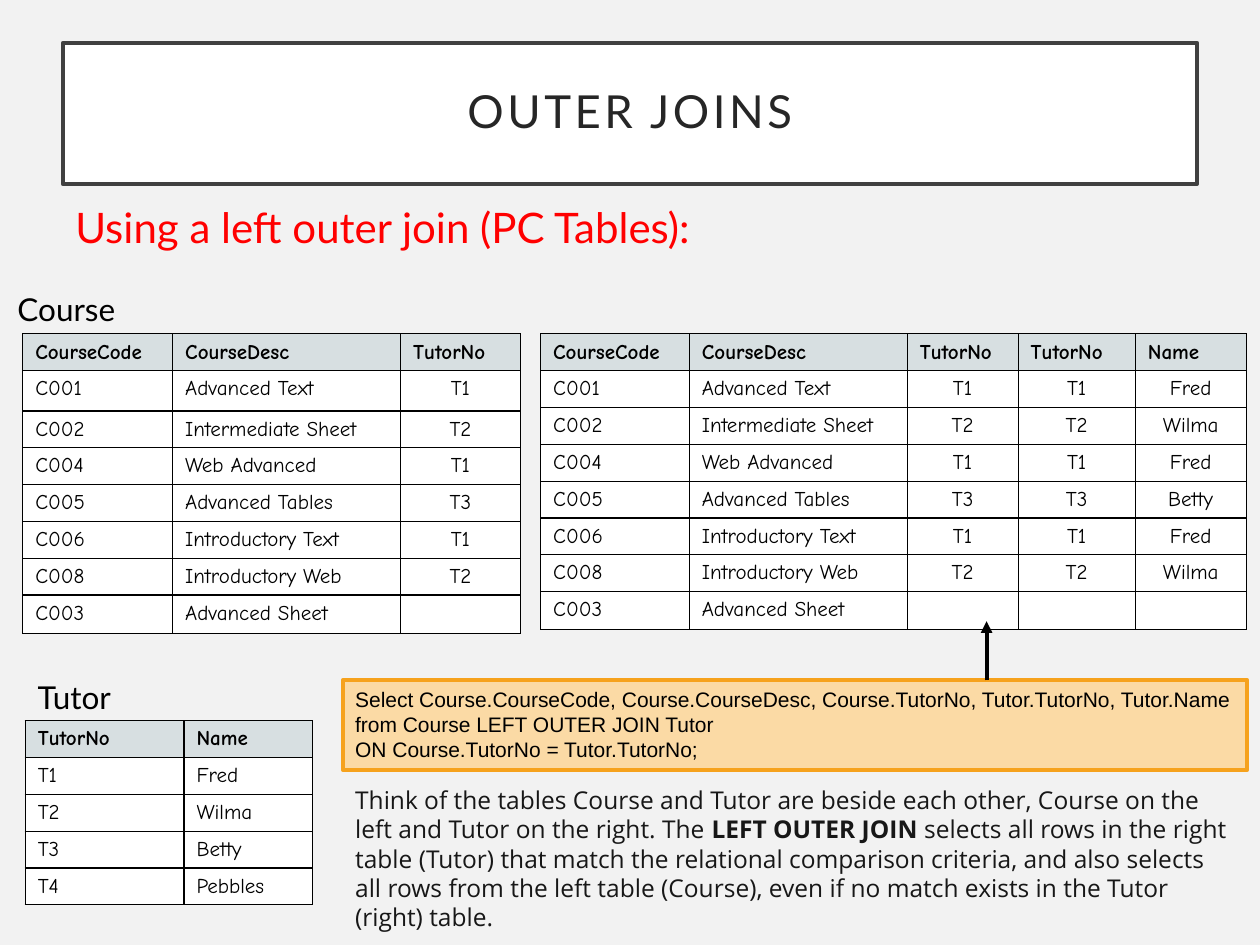
from lxml import etree
from pptx import Presentation
from pptx.dml.color import RGBColor
from pptx.enum.shapes import MSO_CONNECTOR, MSO_SHAPE
from pptx.enum.text import MSO_ANCHOR, PP_ALIGN
from pptx.oxml.ns import qn
from pptx.util import Inches, Pt

LEFT, CENTER = PP_ALIGN.LEFT, PP_ALIGN.CENTER
TOP, MIDDLE = MSO_ANCHOR.TOP, MSO_ANCHOR.MIDDLE
TITLE_ONLY = 5

COLORS = {
    "page": "F2F2F2", "white": "FFFFFF", "frame": "404040", "title": "262626",
    "red": "FF0000", "black": "000000", "header": "D7DFE1",
    "query": "FBDAA5", "query_line": "F6A21D", "body": "171717",
}

COURSE_HEADER = ["CourseCode", "CourseDesc", "TutorNo"]
TUTOR_HEADER = ["TutorNo", "Name"]
COURSES = [
    ("C001", "Advanced Text", "T1"),
    ("C002", "Intermediate Sheet", "T2"),
    ("C004", "Web Advanced", "T1"),
    ("C005", "Advanced Tables", "T3"),
    ("C006", "Introductory Text", "T1"),
    ("C008", "Introductory Web", "T2"),
    ("C003", "Advanced Sheet", ""),
]
TUTORS = [("T1", "Fred"), ("T2", "Wilma"), ("T3", "Betty"), ("T4", "Pebbles")]
TUTOR_NAMES = dict(TUTORS)
JOINED = [(*course, course[2], TUTOR_NAMES.get(course[2], "")) for course in COURSES]

# position, column widths, row heights, number of left-aligned columns, rows
TABLES = [
    ((4.29, 2.65), [1.18, 1.73, 0.88, 0.93, 0.88], [0.29] * 8, 2,
     [COURSE_HEADER + TUTOR_HEADER] + JOINED),
    ((0.18, 2.65), [1.19, 1.81, 0.95], [0.29, 0.32] + [0.29] * 6, 2,
     [COURSE_HEADER] + COURSES),
    ((0.2, 5.72), [1.26, 1.02], [0.29] * 5, 2, [TUTOR_HEADER] + TUTORS),
]

# position and size, font, size, colour, space before, spans of (text, bold)
TEXTS = [
    ((0.5, 1.55, 9.07, 0.63), "Lato", 24, "red", 10,
     [("Using a left outer join (PC Tables):", False)]),
    ((0.04, 2.25, 2.12, 0.4), "Lato", 18, "black", 0, [("Course", False)]),
    ((0.2, 5.33, 2.12, 0.4), "Lato", 18, "black", 0, [("Tutor", False)]),
    ((2.72, 6.18, 7.18, 1.04), "Open Sans", 14, "body", 0, [
        ("Think of the tables Course and Tutor are beside each other, Course on "
         "the left and Tutor on the right. The ", False),
        ("LEFT OUTER JOIN", True),
        (" selects all rows in the right table (Tutor) that match the relational "
         "comparison criteria, and also selects all rows from the left table "
         "(Course), even if no match exists in the Tutor (right) table.", False),
    ]),
]
QUERY = [
    "Select Course.CourseCode, Course.CourseDesc, Course.TutorNo, Tutor.TutorNo, Tutor.Name",
    "from Course LEFT OUTER JOIN Tutor",
    "ON Course.TutorNo = Tutor.TutorNo;",
]


def rgb(name):
    """Return the named colour."""
    return RGBColor.from_string(COLORS[name])


def paint(shape, fill, line, width):
    """Set the fill and outline of a shape."""
    shape.fill.solid()
    shape.fill.fore_color.rgb = rgb(fill)
    shape.line.color.rgb = rgb(line)
    shape.line.width = Pt(width)


def add_span(para, text, font, size, color, bold=False):
    """Add one formatted run to a paragraph."""
    span = para.add_run()
    span.text = text
    span.font.name, span.font.size, span.font.bold = font, Pt(size), bold
    span.font.color.rgb = rgb(color)
    return span


def add_title(page):
    """Place and format the framed title."""
    title = page.shapes.title
    title.left, title.top = Inches(0.5), Inches(0.34)
    title.width, title.height = Inches(9), Inches(1.12)
    paint(title, "white", "frame", 2.5)
    frame = title.text_frame
    frame.vertical_anchor = MIDDLE
    frame.margin_left = frame.margin_right = Inches(0.2)
    frame.margin_top = frame.margin_bottom = Inches(0.2)
    para = frame.paragraphs[0]
    para.alignment, para.line_spacing = CENTER, 0.9
    span = add_span(para, "OUTER JOINS", "Lato", 26, "title")
    span.font._element.set("spc", "200")


def add_text(page, place, font, size, color, before, spans):
    """Add a wrapping text box."""
    box = page.shapes.add_textbox(*map(Inches, place))
    box.text_frame.word_wrap = True
    para = box.text_frame.paragraphs[0]
    para.space_before = Pt(before)
    for text, bold in spans:
        add_span(para, text, font, size, color, bold)


def add_borders(cell):
    """Draw thin black lines on all sides of a cell."""
    properties = cell._tc.get_or_add_tcPr()
    for side in ("lnL", "lnR", "lnT", "lnB"):
        line = etree.SubElement(properties, qn("a:" + side), w=str(Pt(0.75)))
        fill = etree.SubElement(line, qn("a:solidFill"))
        etree.SubElement(fill, qn("a:srgbClr"), val=COLORS["black"])


def fill_cell(cell, text, header, align):
    """Write and format one table cell."""
    add_borders(cell)
    cell.fill.solid()
    cell.fill.fore_color.rgb = rgb("header" if header else "white")
    cell.vertical_anchor = MIDDLE if header else TOP
    para = cell.text_frame.paragraphs[0]
    para.alignment = align
    indents = para._p.get_or_add_pPr()
    indents.set("marL", str(Inches(0.38)))
    indents.set("indent", str(-Inches(0.38)))
    if text:
        add_span(para, text, "Comic Neue", 12, "black", header)
    else:
        etree.SubElement(para._p, qn("a:endParaRPr"), sz="1200")


def add_grid(page, place, widths, heights, left_columns, rows):
    """Add a table with a shaded header row."""
    size = (sum(widths), sum(heights))
    table = page.shapes.add_table(
        len(rows), len(widths), *map(Inches, place + size)).table
    table.first_row = table.horz_banding = False
    for column, width in zip(table.columns, widths):
        column.width = Inches(width)
    for r, (row, height) in enumerate(zip(rows, heights)):
        table.rows[r].height = Inches(height)
        for c, text in enumerate(row):
            align = LEFT if r == 0 or c < left_columns else CENTER
            fill_cell(table.cell(r, c), text, r == 0, align)


def add_query(page):
    """Add the box that holds the SQL statement."""
    box = page.shapes.add_shape(
        MSO_SHAPE.RECTANGLE, *map(Inches, (2.72, 5.4, 7.18, 0.71)))
    box.shadow.inherit = False
    paint(box, "query", "query_line", 2.25)
    frame = box.text_frame
    frame.word_wrap, frame.vertical_anchor = True, TOP
    for index, text in enumerate(QUERY):
        para = frame.add_paragraph() if index else frame.paragraphs[0]
        para.alignment = LEFT
        add_span(para, text, "Arial", 12, "black")


def add_arrow(page):
    """Point from the query to the joined table."""
    arrow = page.shapes.add_connector(
        MSO_CONNECTOR.STRAIGHT, *map(Inches, (7.83, 5.4, 7.83, 4.93)))
    arrow.line.color.rgb = rgb("black")
    arrow.line.width = Pt(2.25)
    etree.SubElement(arrow.line._get_or_add_ln(), qn("a:tailEnd"), type="triangle")
    etree.SubElement(arrow._element.spPr, qn("a:effectLst"))


deck = Presentation()
deck.slide_width, deck.slide_height = Inches(10), Inches(7.5)
page = deck.slides.add_slide(deck.slide_layouts[TITLE_ONLY])
page.background.fill.solid()
page.background.fill.fore_color.rgb = rgb("page")
add_title(page)
for grid in TABLES:
    add_grid(page, *grid)
for text_box in TEXTS:
    add_text(page, *text_box)
add_query(page)
add_arrow(page)
deck.save("out.pptx")
